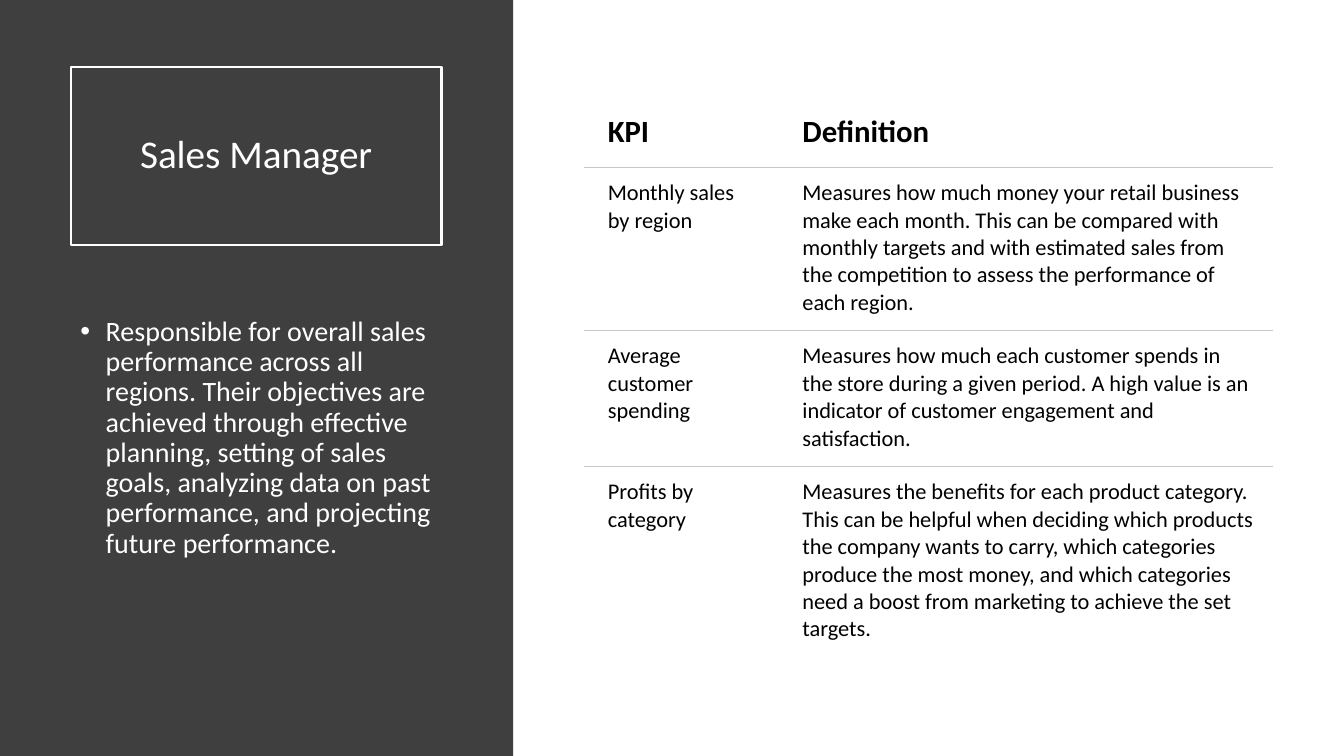
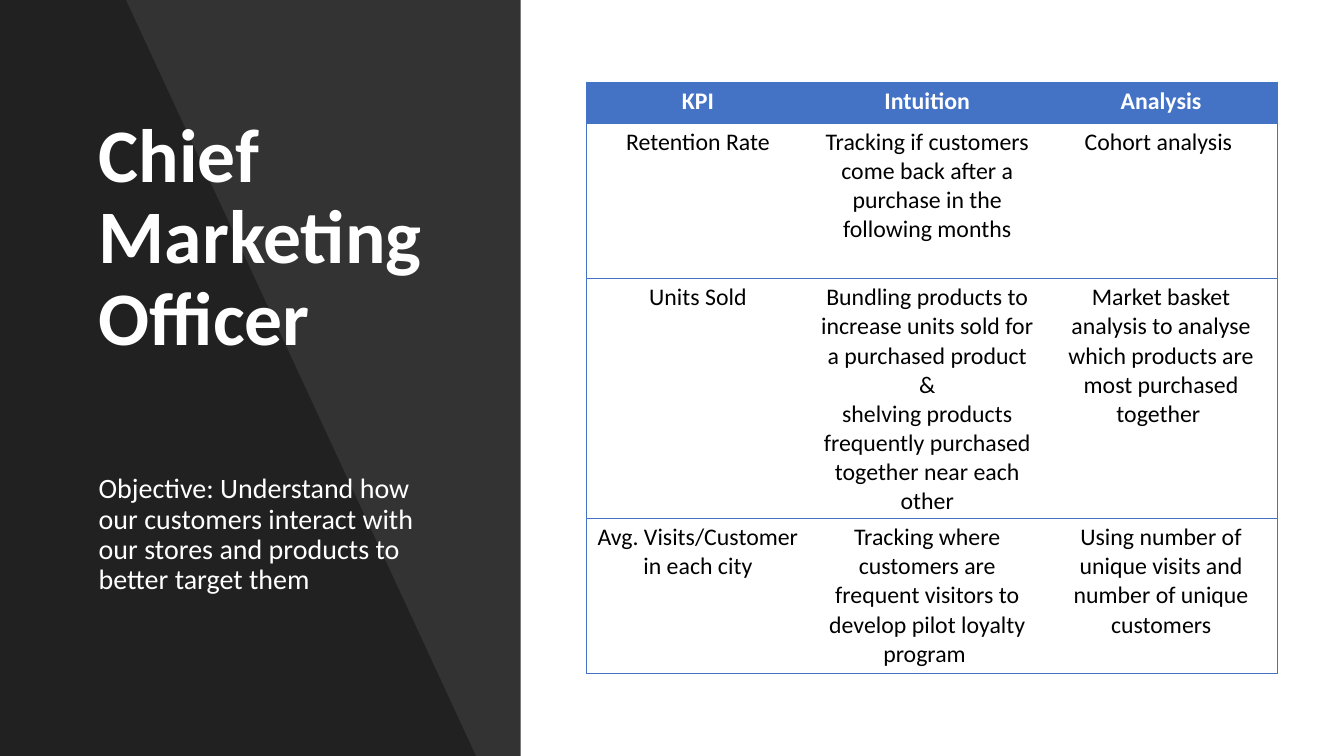
from dataclasses import dataclass

from lxml.etree import SubElement
from pptx import Presentation
from pptx.dml.color import RGBColor as Rgb
from pptx.enum.shapes import MSO_SHAPE as Shape
from pptx.enum.text import MSO_ANCHOR as Anchor, MSO_AUTO_SIZE as Fit, PP_ALIGN as Align
from pptx.oxml.ns import qn
from pptx.util import Pt


@dataclass(frozen=True)
class Theme:
    font: str = "Calibri"
    white: str = "FFFFFF"
    black: str = "000000"
    panel: str = "3F3F3F"
    rule: str = "C7C6C1"
    blue: str = "4472C4"
    title: float = 28
    hero: float = 54
    body: float = 20
    head: float = 22
    cell: float = 16
    dense: float = 17


@dataclass(frozen=True)
class Box:
    left: float
    top: float
    width: float
    height: float

    def emu(self) -> tuple:
        return Pt(self.left), Pt(self.top), Pt(self.width), Pt(self.height)


@dataclass(frozen=True)
class Grid:
    left: float
    top: float
    cols: tuple
    rows: tuple
    inset: tuple  # left, top, right, bottom
    rule: str
    weight: float
    head: float
    size: float
    ink: str  # header text
    band: str | None = None  # header fill
    frame: bool = False  # outer border
    align: Align = Align.LEFT


T = Theme()
WIDE, HIGH = 960, 540

SALES = Grid(416.9, 72, (139, 353.5), (47.5, 116.6, 97.2, 135.4),
             (17.3, 8.6, 13, 8.6), T.rule, 0.75, T.head, T.cell, T.black)
SALES_TEXT = (
    ("KPI", "Definition"),
    ("Monthly sales by region",
     "Measures how much money your retail business make each month. This can be "
     "compared with monthly targets and with estimated sales from the competition "
     "to assess the performance of each region."),
    ("Average customer spending",
     "Measures how much each customer spends in the store during a given period. "
     "A high value is an indicator of customer engagement and satisfaction."),
    ("Profits by category",
     "Measures the benefits for each product category. This can be helpful when "
     "deciding which products the company wants to carry, which categories produce "
     "the most money, and which categories need a boost from marketing to achieve "
     "the set targets."),
)

CMO = Grid(419, 58.5, (159.1, 168.5, 165.6), (29.5, 110.9, 171.4, 110.9),
           (6.5, 3.4, 6.5, 3.4), T.blue, 0.5, T.dense, T.dense, T.white,
           band=T.blue, frame=True, align=Align.CENTER)
CMO_TEXT = (
    ("KPI", "Intuition", "Analysis"),
    ("Retention Rate",
     "Tracking if customers come back after a purchase in the following months",
     "Cohort analysis "),
    ("Units Sold",
     "Bundling products to increase units sold for a purchased product &\n"
     "shelving products frequently purchased together near each other",
     "Market basket analysis to analyse which products are most purchased together "),
    ("Avg. Visits/Customer in each city",
     "Tracking where customers are frequent visitors to develop pilot loyalty program ",
     "Using number of unique visits and number of unique customers"),
)


def write(frame, text: str, *, size: float, color: str = T.white, bold: bool = False,
          align: Align = Align.LEFT, lead: float = 1, before: float = 0,
          after: float = 0, bullet: bool = False) -> None:
    """Fill a text frame, one paragraph for each line of text."""
    frame.word_wrap = True
    for i, line in enumerate(text.split("\n")):
        par = frame.add_paragraph() if i else frame.paragraphs[0]
        par.alignment, par.line_spacing = align, lead
        par.space_before, par.space_after = Pt(before), Pt(after)
        if bullet:
            props = par._p.get_or_add_pPr()
            props.set("marL", str(Pt(18)))
            props.set("indent", str(-Pt(18)))
            SubElement(props, qn("a:buFont")).set("typeface", "Arial")
            SubElement(props, qn("a:buChar")).set("char", "•")
        run = par.add_run()
        run.text = line
        font = run.font
        font.name, font.size, font.bold = T.font, Pt(size), bold
        font.color.rgb = Rgb.from_string(color)


def paint(shape, color: str, alpha: int = 100) -> None:
    """Give a shape a flat fill with no outline; alpha is a percentage."""
    shape.shadow.inherit = False
    shape.line.fill.background()
    shape.fill.solid()
    shape.fill.fore_color.rgb = Rgb.from_string(color)
    if alpha < 100:
        tint = shape.element.spPr.find(qn("a:solidFill"))[0]
        SubElement(tint, qn("a:alpha")).set("val", str(alpha * 1000))


def panel(slide, width: float, color: str, alpha: int = 100) -> None:
    rect = slide.shapes.add_shape(Shape.RECTANGLE, *Box(0, 0, width, HIGH).emu())
    paint(rect, color, alpha)


def wedge(slide, top: float, base: float) -> None:
    pen = slide.shapes.build_freeform(0, 0)
    pen.add_line_segments([(Pt(top), 0), (Pt(base), Pt(HIGH)), (0, Pt(HIGH))])
    paint(pen.convert_to_shape(), T.black, 35)


def head(slide, box: Box, text: str, anchor: Anchor, **form):
    """Place the title above the panels and return it."""
    title = slide.shapes.title
    slide.shapes._spTree.append(title.element)
    title.left, title.top, title.width, title.height = box.emu()
    frame = title.text_frame
    frame.auto_size, frame.vertical_anchor = Fit.NONE, anchor
    write(frame, text, lead=0.9, **form)
    return title


def body(slide, box: Box, text: str, bullet: bool = False) -> None:
    frame = slide.shapes.add_textbox(*box.emu()).text_frame
    write(frame, text, size=T.body, lead=0.9, before=10, after=6, bullet=bullet)


def edge(cell, side: str, color: str | None, weight: float) -> None:
    """Draw one cell side, or clear it when there is no color."""
    line = SubElement(cell._tc.get_or_add_tcPr(), qn(f"a:ln{side}"))
    line.set("w", str(Pt(weight)))
    if color:
        fill = SubElement(line, qn("a:solidFill"))
        SubElement(fill, qn("a:srgbClr")).set("val", color)
    else:
        SubElement(line, qn("a:noFill"))


def table(slide, grid: Grid, data: tuple) -> None:
    box = Box(grid.left, grid.top, sum(grid.cols), sum(grid.rows))
    rows, cols = len(grid.rows), len(grid.cols)
    tab = slide.shapes.add_table(rows, cols, *box.emu()).table
    tab.first_row = tab.horz_banding = False
    for col, width in zip(tab.columns, grid.cols):
        col.width = Pt(width)
    for row, high in zip(tab.rows, grid.rows):
        row.height = Pt(high)
    for r, line in enumerate(data):
        for c, text in enumerate(line):
            cell = tab.cell(r, c)
            (cell.margin_left, cell.margin_top,
             cell.margin_right, cell.margin_bottom) = map(Pt, grid.inset)
            shown = {"L": grid.frame and c == 0,
                     "R": grid.frame and c == cols - 1,
                     "T": grid.frame or r > 0,
                     "B": grid.frame or r < rows - 1}
            for side, on in shown.items():
                edge(cell, side, grid.rule if on else None, grid.weight)
            top = r == 0
            if top and grid.band:
                cell.fill.solid()
                cell.fill.fore_color.rgb = Rgb.from_string(grid.band)
            else:
                cell.fill.background()
            write(cell.text_frame, text, size=grid.head if top else grid.size,
                  color=grid.ink if top else T.black, bold=top, align=grid.align)


def sales(slide) -> None:
    panel(slide, 366.5, T.panel)
    title = head(slide, Box(50.4, 48, 265, 127), "Sales Manager", Anchor.MIDDLE,
                 size=T.title, align=Align.CENTER)
    title.line.color.rgb = Rgb.from_string(T.white)
    title.line.width = Pt(1.5)
    body(slide, Box(50.4, 223, 265, 269),
         "Responsible for overall sales performance across all regions. Their "
         "objectives are achieved through effective planning, setting of sales goals, "
         "analyzing data on past performance, and projecting future performance.",
         bullet=True)
    table(slide, SALES, SALES_TEXT)


def market(slide) -> None:
    panel(slide, 372, T.black, 80)
    wedge(slide, 90, 340)
    head(slide, Box(63.4, 74, 260.6, 188), "Chief Marketing Officer", Anchor.BOTTOM,
         size=T.hero, bold=True)
    body(slide, Box(63.4, 335.5, 260.6, 130),
         "Objective: Understand how our customers interact with our stores and "
         "products to better target them")
    table(slide, CMO, CMO_TEXT)


def main() -> None:
    deck = Presentation()
    deck.slide_width, deck.slide_height = Pt(WIDE), Pt(HIGH)
    for draw in (sales, market):
        draw(deck.slides.add_slide(deck.slide_layouts[5]))
    deck.save("out.pptx")


if __name__ == "__main__":
    main()
